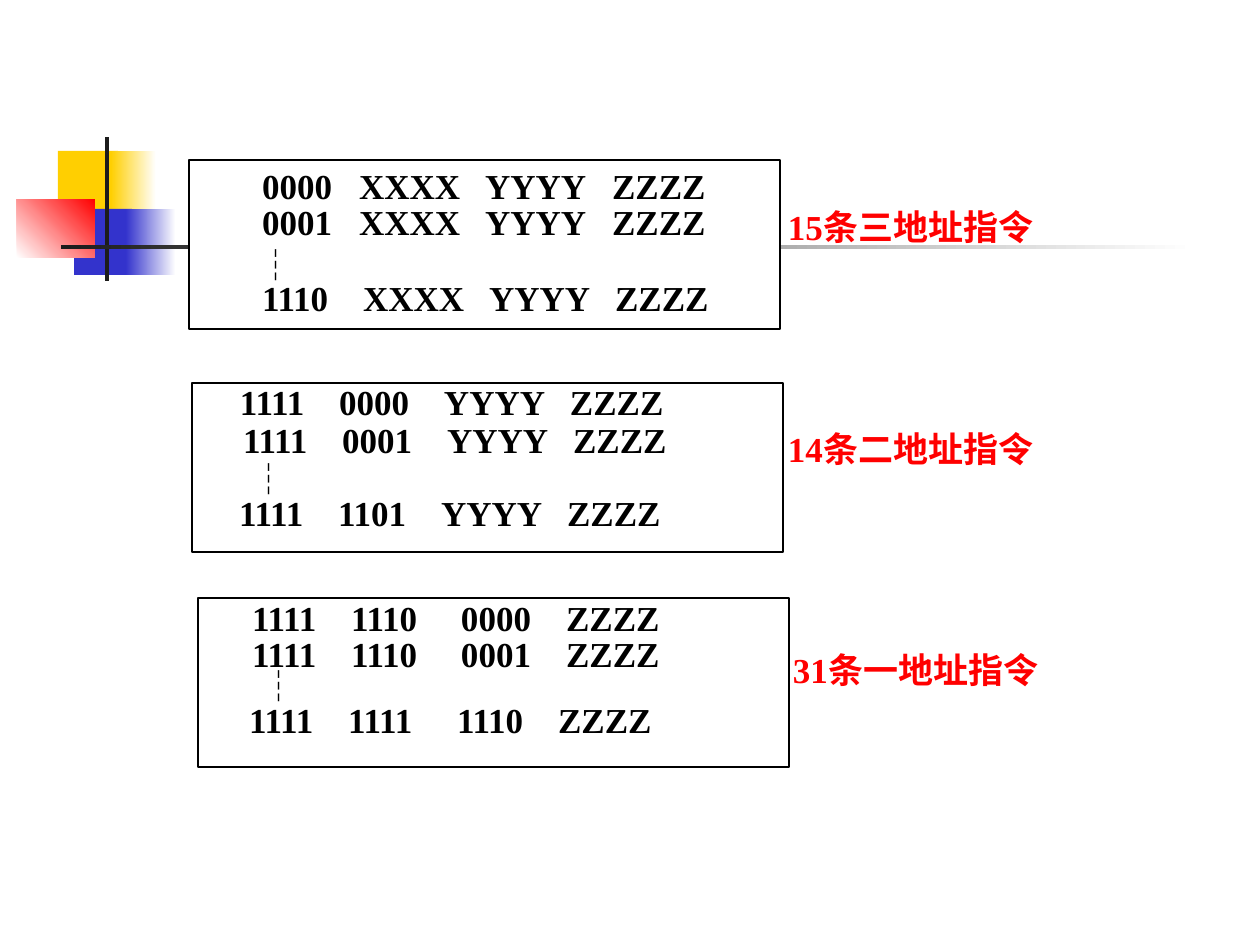
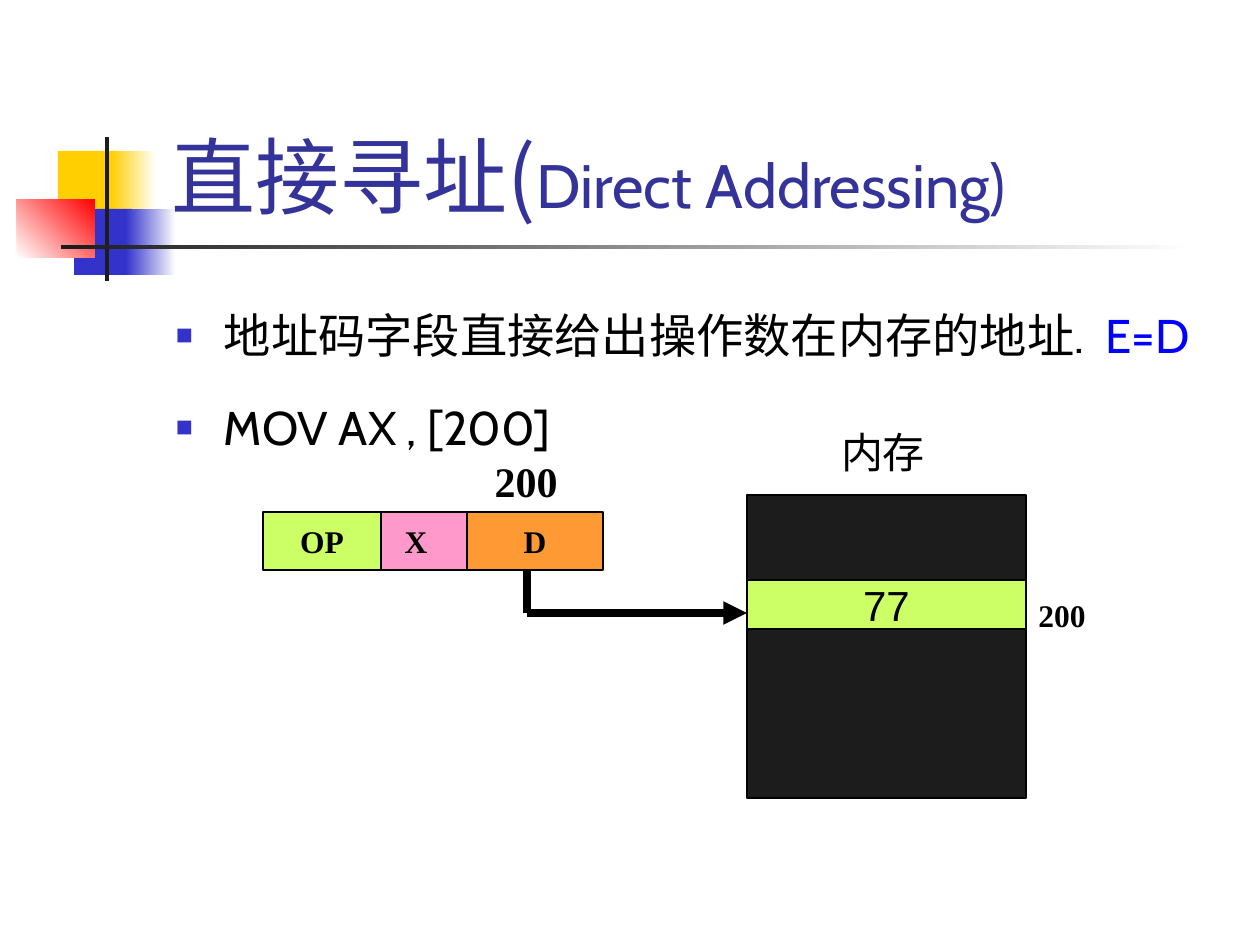
from lxml.etree import SubElement
from pptx import Presentation
from pptx.dml.color import RGBColor
from pptx.enum.shapes import MSO_CONNECTOR, MSO_SHAPE
from pptx.enum.text import MSO_ANCHOR, PP_ALIGN
from pptx.oxml.ns import qn
from pptx.util import Pt

EMU_PER_PX = 914400 / 126
BLACK, WHITE, DARK = "000000", "FFFFFF", "1C1C1C"
YELLOW, BLUE, RED = "FFCF01", "3333CC", "FF0000"
LIME, PINK, ORANGE = "CCFF66", "FF99CC", "FF9933"
TITLE_BLUE, FORMULA_BLUE = "333399", "0000FF"
SERIF, SANS, CABIN = "Times New Roman", "Arial", "Cabin"
CJK_JP, CJK_SC = "Noto Sans CJK JP", "Noto Sans CJK SC"


def px(length):
    return round(length * EMU_PER_PX)


def rgb(color):
    return RGBColor.from_string(color)


class Deck:
    def __init__(self):
        self.presentation = Presentation()
        self.presentation.slide_width = px(1260)
        self.presentation.slide_height = px(945)
        self.slide = None

    def new_slide(self):
        self.slide = self.presentation.slides.add_slide(self.presentation.slide_layouts[6])
        self.rect(58, 151, 60, 66, YELLOW)
        self.fade(111, 151, 45, 66, YELLOW, WHITE)
        self.rect(74, 209, 58, 66, BLUE)
        self.fade(126, 209, 50, 66, BLUE, WHITE)
        self.fade(17, 199, 78, 59, WHITE, RED, angle=45)
        self.rect(105, 137, 4, 144, DARK)
        self.fade(61, 245, 1134, 4, DARK, WHITE)

    def rect(self, x, y, w, h, fill, line=None):
        shape = self.slide.shapes.add_shape(MSO_SHAPE.RECTANGLE, px(x), px(y), px(w), px(h))
        shape.shadow.inherit = False
        shape.fill.solid()
        shape.fill.fore_color.rgb = rgb(fill)
        if line:
            shape.line.color.rgb = rgb(line)
            shape.line.width = Pt(0.75)
        else:
            shape.line.fill.background()
        return shape

    def fade(self, x, y, w, h, start, end, angle=0):
        shape = self.rect(x, y, w, h, start)
        shape.fill.gradient()
        shape.fill.gradient_angle = angle
        for stop, color in zip(shape.fill.gradient_stops, (start, end)):
            stop.color.rgb = rgb(color)

    def style(self, run, size, font=SERIF, color=BLACK, bold=False, cjk=CJK_SC):
        run.font.size = Pt(size)
        run.font.name = font
        run.font.bold = bold
        run.font.color.rgb = rgb(color)
        SubElement(run.font._element, qn("a:ea"), typeface=cjk)

    def frame(self, shape, anchor=MSO_ANCHOR.TOP, left=13, right=13):
        frame = shape.text_frame
        frame.word_wrap = True
        frame.vertical_anchor = anchor
        frame.margin_left, frame.margin_right = px(left), px(right)
        frame.margin_top = frame.margin_bottom = px(6)
        return frame

    def box(self, x, y, w, h, **layout):
        return self.frame(self.slide.shapes.add_textbox(px(x), px(y), px(w), px(h)), **layout)

    def text(self, x, y, w, h, words, size, left=13, right=13, align=PP_ALIGN.LEFT, **look):
        frame = self.box(x, y, w, h, left=left, right=right)
        frame.text = words
        frame.paragraphs[0].alignment = align
        self.style(frame.paragraphs[0].runs[0], size, **look)

    def caption(self, x, y, w, h, words, size, bold):
        self.text(x, y, w, h, words, size, left=0, right=0, align=PP_ALIGN.CENTER, bold=bold)

    def columns(self, x, y, left, stops, cells):
        frame = self.box(x, y, 561, 71, left=left)
        paragraph = frame.paragraphs[0]
        tabs = SubElement(paragraph._p.get_or_add_pPr(), qn("a:tabLst"))
        for stop in stops:
            SubElement(tabs, qn("a:tab"), pos=str(px(stop)), algn="l")
        paragraph.text = "\t".join(cells.split())
        for run in paragraph.runs:
            self.style(run, 20, bold=True)

    def cell(self, x, y, w, h, fill, words, size, right=13, **look):
        frame = self.frame(self.rect(x, y, w, h, fill, BLACK), MSO_ANCHOR.MIDDLE, right=right)
        frame.text = words
        frame.paragraphs[0].alignment = PP_ALIGN.CENTER
        self.style(frame.paragraphs[0].runs[0], size, **look)

    def title(self, *parts):
        paragraph = self.box(159, 29, 1074, 202, anchor=MSO_ANCHOR.BOTTOM).paragraphs[0]
        for words, size, font in parts:
            run = paragraph.add_run()
            run.text = words
            self.style(run, size, font, TITLE_BLUE, cjk=CJK_JP)

    def bullets(self, x, y, w, h, items):
        frame = self.box(x, y, w, h)
        for index, parts in enumerate(items):
            paragraph = frame.add_paragraph() if index else frame.paragraphs[0]
            paragraph.line_spacing = 1.4
            paragraph.space_before = Pt(6.8 if index else 0)
            properties = paragraph._p.get_or_add_pPr()
            properties.set("marL", str(px(48)))
            properties.set("indent", str(px(-48)))
            SubElement(SubElement(properties, qn("a:buClr")), qn("a:srgbClr"), val=BLUE)
            SubElement(properties, qn("a:buSzPct"), val="60000")
            SubElement(properties, qn("a:buFont"), typeface=SANS)
            SubElement(properties, qn("a:buChar"), char="■")
            for words, color, tracking in parts:
                run = paragraph.add_run()
                run.text = words
                self.style(run, 27, CABIN, color, cjk=CJK_JP)
                run.font._element.set("spc", str(tracking))

    def line(self, x1, y1, x2, y2, arrow=False):
        line = self.slide.shapes.add_connector(
            MSO_CONNECTOR.STRAIGHT, px(x1), px(y1), px(x2), px(y2))
        line.line.color.rgb = rgb(BLACK)
        line.line.width = Pt(4.5)
        if arrow:
            SubElement(line.line._get_or_add_ln(), qn("a:tailEnd"), type="triangle")
        SubElement(line._element.spPr, qn("a:effectLst"))


def instruction_formats(deck):
    deck.new_slide()
    groups = [
        ((189, 160), (775, 200, "15条三地址指令"), (219, 237, 39), [
            (249, 158, 13, (97, 223, 350), "0000 XXXX YYYY ZZZZ"),
            (205, 194, 57, (97, 223, 350), "0001 XXXX YYYY ZZZZ"),
            (205, 270, 57, (101, 227, 353), "1110 XXXX YYYY ZZZZ")]),
        ((192, 383), (775, 422, "14条二地址指令"), (222, 451, 29), [
            (210, 374, 30, (99, 204, 330), "1111 0000 YYYY ZZZZ"),
            (213, 412, 30, (99, 204, 330), "1111 0001 YYYY ZZZZ"),
            (209, 485, 30, (99, 202, 328), "1111 1101 YYYY ZZZZ")]),
        ((198, 598), (780, 643, "31条一地址指令"), (232, 658, 29), [
            (222, 590, 30, (99, 209, 314), "1111 1110 0000 ZZZZ"),
            (222, 626, 30, (99, 209, 314), "1111 1110 0001 ZZZZ"),
            (219, 692, 30, (99, 208, 309), "1111 1111 1110 ZZZZ")]),
    ]
    for (x, y), (label_x, label_y, label), (dots_x, dots_y, dots_left), rows in groups:
        deck.rect(x, y, 591, 169, WHITE, BLACK)
        deck.text(label_x, label_y, 340, 90, label, 20, color=RED, bold=True)
        deck.text(dots_x, dots_y, 561, 71, "┆", 20, left=dots_left, font=CJK_SC, bold=True)
        for row in rows:
            deck.columns(*row)


def direct_addressing(deck):
    deck.new_slide()
    deck.title(("直接寻址(", 48, CJK_JP), ("Direct Addressing)", 35, CABIN))
    deck.bullets(163, 278, 1071, 273, [
        [("地址码字段直接给出操作数在内存的地址.", BLACK, 0), (" ", BLACK, 600),
         ("E=D", FORMULA_BLUE, 0)],
        [("MOV AX , [200]", BLACK, 0)],
    ])
    deck.rect(747, 495, 279, 85, DARK, BLACK)
    deck.cell(747, 580, 279, 49, LIME, "77", 24, font=SANS)
    deck.rect(747, 629, 279, 169, DARK, BLACK)

    deck.line(527, 613, 747, 613, arrow=True)
    deck.line(527, 613, 527, 571)
    for x, w, fill, field, right in [(263, 118, LIME, "OP", 13), (381, 86, PINK, "X", 29),
                                     (467, 136, ORANGE, "D", 13)]:
        deck.cell(x, 512, w, 58, fill, field, 18, right=right, bold=True)

    deck.caption(491, 450, 70, 50, "200", 24, bold=True)
    deck.caption(1023, 590, 78, 50, "200", 18, bold=True)
    deck.caption(829, 421, 108, 63, "内存", 24, bold=False)


def main():
    deck = Deck()
    instruction_formats(deck)
    direct_addressing(deck)
    deck.presentation.save("out.pptx")


if __name__ == "__main__":
    main()
